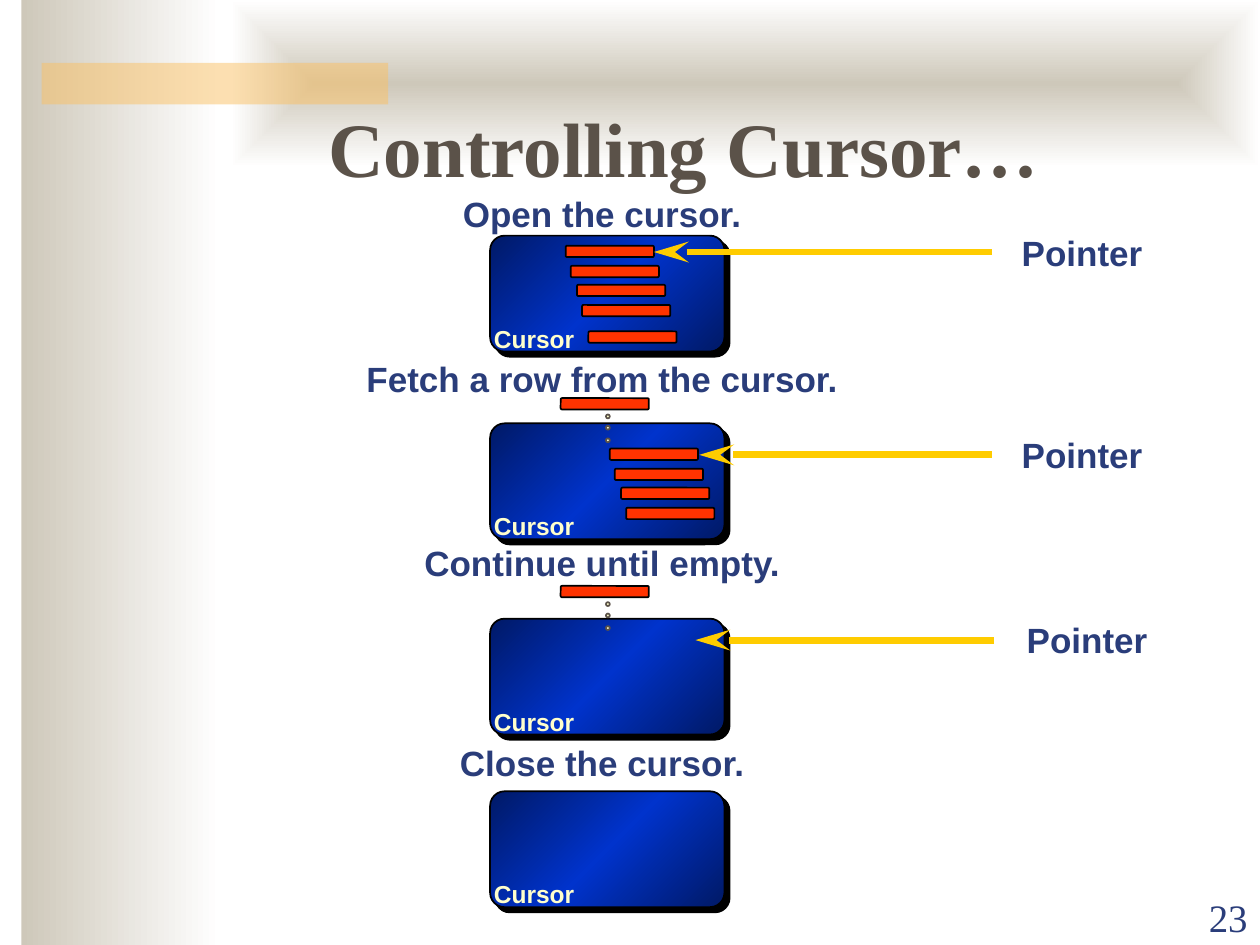
from pptx import Presentation
from pptx.dml.color import RGBColor
from pptx.enum.shapes import MSO_CONNECTOR as Connector, MSO_SHAPE as Shape
from pptx.enum.text import MSO_ANCHOR as Anchor, PP_ALIGN as Align
from pptx.oxml import parse_xml
from pptx.oxml.ns import nsdecls, qn
from pptx.util import Pt

PX = 9144
COLORS = {
    "sand": "CEC8BA", "white": "FFFFFF", "amber": "FAC164", "navy": "2A3D7A",
    "brown": "5B5249", "deep": "001966", "blue": "0033CC", "cream": "FFFFCC",
    "red": "FF3300", "gold": "FFCC00", "black": "000000",
}
LINEAR = '<a:lin ang="{}" scaled="0"/>'
CENTERED = '<a:path path="rect"><a:fillToRect l="50000" t="50000" r="50000" b="50000"/></a:path>'


def color(name):
    """Return the named colour."""
    return RGBColor.from_string(COLORS[name])


def element(xml):
    """Build a drawing element, declaring the namespace on its root."""
    tag, rest = xml[1:].split(maxsplit=1) if " " in xml.split(">")[0] else (xml[1:].split(">")[0].rstrip("/"), xml[xml.index(">"):])
    if xml.endswith("/>") and rest == ">":
        rest = "/>"
    return parse_xml(f"<{tag} {nsdecls('a')} {rest}")


def add_block(page, kind, at, fill=None, line=None):
    """Add a preset shape with an optional solid fill and outline."""
    block = page.shapes.add_shape(kind, *(value * PX for value in at))
    block.shadow.inherit = False
    if kind == Shape.ROUNDED_RECTANGLE:
        block.adjustments[0] = 0.125
    if fill:
        block.fill.solid()
        block.fill.fore_color.rgb = color(fill)
    if line:
        block.line.color.rgb = color(line)
        block.line.width = Pt(1)
    else:
        block.line.fill.background()
    return block


def set_gradient(block, names, direction):
    """Fill a shape with evenly spaced gradient stops."""
    step = 100000 // (len(names) - 1)
    stops = "".join(
        f'<a:gs pos="{index * step}"><a:srgbClr val="{COLORS[name]}"/></a:gs>'
        for index, name in enumerate(names)
    )
    block.fill.background()
    properties = block.element.spPr
    gradient = element(f'<a:gradFill rotWithShape="1"><a:gsLst>{stops}</a:gsLst>{direction}</a:gradFill>')
    properties.replace(properties.find(qn("a:noFill")), gradient)


def format_text(box, text, size, ink, font="Arial", bold=True, align=Align.LEFT):
    """Write one formatted paragraph and return it."""
    box.text_frame.text = text
    para = box.text_frame.paragraphs[0]
    para.alignment = align
    for span in para.runs:
        span.font.name, span.font.size, span.font.bold = font, Pt(size), bold
        span.font.color.rgb = color(ink)
    return para


def add_label(page, at, text, size, ink, inset=(10, 5), **style):
    """Add a wrapped text box and return it."""
    box = page.shapes.add_textbox(*(value * PX for value in at))
    frame = box.text_frame
    frame.word_wrap = True
    frame.margin_left = frame.margin_right = inset[0] * PX
    frame.margin_top = frame.margin_bottom = inset[1] * PX
    format_text(box, text, size, ink, **style)
    return box


def add_backdrop(page):
    """Draw the side band, the top band and the amber bar."""
    side = add_block(page, Shape.RECTANGLE, (17, 0, 158, 750))
    set_gradient(side, ["sand", "white"], LINEAR.format(0))
    top = add_block(page, Shape.RECTANGLE, (183, 0, 817, 133))
    set_gradient(top, ["sand", "white"], CENTERED)
    bar = add_block(page, Shape.RECTANGLE, (33, 50, 275, 33), "amber")
    bar.element.spPr.find(qn("a:solidFill"))[0].append(element('<a:alpha val="50000"/>'))


def add_title(page, text):
    """Place the title placeholder above the backdrop."""
    title = page.shapes.title
    title.left, title.top, title.width, title.height = (value * PX for value in (250, 75, 586, 84))
    title.text_frame.word_wrap = False
    title.text_frame.vertical_anchor = Anchor.TOP
    format_text(title, text, 44, "brown", font="Times New Roman", align=Align.CENTER)
    title.element.getparent().append(title.element)


def add_caption(page, top, text):
    """Add the centred heading of a stage."""
    box = add_label(page, (248, top, 460, 42), text, 20, "navy", align=Align.CENTER)
    box.text_frame.paragraphs[0].line_spacing = 0.95


def add_cursor(page, top):
    """Add the cursor panel with its hard shadow and label."""
    panel = add_block(page, Shape.ROUNDED_RECTANGLE, (389, top, 186, 92), line="black")
    set_gradient(panel, ["deep", "blue", "deep"], LINEAR.format(2700000))
    panel.element.spPr.find(qn("a:effectLst")).append(element(
        '<a:outerShdw dist="53340" dir="2700000" algn="ctr" rotWithShape="0">'
        f'<a:srgbClr val="{COLORS["black"]}"/></a:outerShdw>'
    ))
    add_label(page, (386, top + 67, 84, 30), "Cursor", 14, "cream", inset=(6, 3))


def add_row(page, left, top):
    """Add one record bar."""
    add_block(page, Shape.ROUNDED_RECTANGLE, (left, top, 70, 9), "red", "black")


def add_rows(page, left, top):
    """Add four record bars stepping down to the right."""
    for index in range(4):
        add_row(page, left + round(4.3 * index), top + round(15.7 * index))


def add_fetched_row(page, top):
    """Add a fetched record with the dots trailing below it."""
    for offset in (32, 22, 13):
        add_block(page, Shape.OVAL, (481, top + offset, 3, 3), "cream", "brown")
    add_row(page, 445, top)


def add_pointer(page, label_left, label_top, start, end, level):
    """Add a pointer label and its arrow."""
    add_label(page, (label_left, label_top, 141, 43), "Pointer", 20, "navy")
    arrow = page.shapes.add_connector(
        Connector.STRAIGHT, start * PX, level * PX, end * PX, level * PX
    )
    arrow.line.color.rgb = color("gold")
    arrow.line.width = Pt(4)
    arrow.line._get_or_add_ln().append(element('<a:tailEnd type="stealth" w="med" len="lg"/>'))
    arrow.element.spPr.append(element("<a:effectLst/>"))


def main():
    """Build the slide and save it."""
    deck = Presentation()
    deck.slide_width, deck.slide_height = 1000 * PX, 750 * PX
    page = deck.slides.add_slide(deck.slide_layouts[5])
    add_backdrop(page)
    number = add_label(page, (900, 701, 100, 50), "23", 22.2, "navy",
                       font="Times New Roman", bold=False, align=Align.RIGHT)
    number.text_frame.vertical_anchor = Anchor.BOTTOM
    add_title(page, "Controlling Cursor…")

    stages = [
        (150, "Open the cursor.", 187),
        (281, "Fetch a row from the cursor.", 336),
        (427, "Continue until empty.", 491),
        (586, "Close the cursor.", 628),
    ]
    for caption_top, caption, cursor_top in stages:
        add_caption(page, caption_top, caption)
        add_cursor(page, cursor_top)

    add_rows(page, 449, 195)
    add_row(page, 467, 263)
    add_rows(page, 484, 356)
    for top in (316, 465):
        add_fetched_row(page, top)

    add_pointer(page, 801, 179, 787, 519, 200)
    add_pointer(page, 801, 339, 787, 555, 361)
    add_pointer(page, 805, 486, 789, 552, 508)
    deck.save("out.pptx")


if __name__ == "__main__":
    main()
